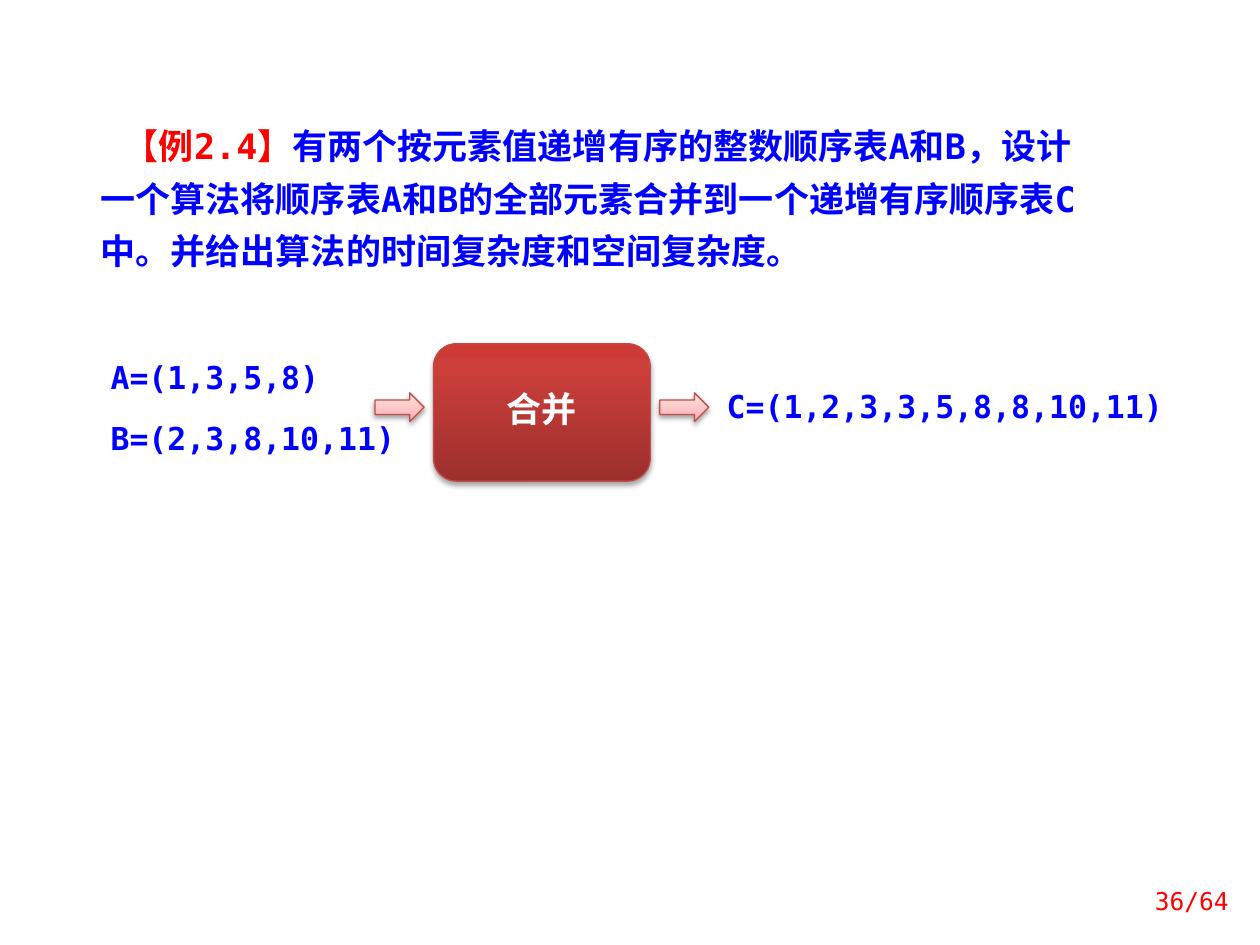
"""Build the slide that shows two ordered lists merging into one."""
from lxml import etree
from pptx import Presentation
from pptx import util as u
from pptx.dml.color import RGBColor
from pptx.enum import shapes, text
from pptx.oxml.ns import qn

THEME = {
    "latin": "DejaVu Sans Mono", "asian": "Noto Sans CJK SC",
    "blue": "0000FF", "red": "FF0000", "white": "FFFFFF", "outline": "BF4C48",
    "question": 20, "list": 18, "page": 14,
    "box": [(0, "9C2F2D"), (80, "CB3E3A"), (100, "CE3B37")],
    "arrow": [(0, "FFA6A5"), (35, "FFC0BF"), (100, "FFE7E7")],
}

QUESTION = [
    ("【例2.4】", "red"),
    ("有两个按元素值递增有序的整数顺序表A和B，设计一个算法将顺序表A和B的全部元素合并到一个"
     "递增有序顺序表C中。并给出算法的时间复杂度和空间复杂度。", "blue"),
]
INPUTS = [[("A=(1,3,5,8)", "blue")], [("B=(2,3,8,10,11)", "blue")]]
RESULT = [[("C=(1,2,3,3,5,8,8,10,11)", "blue")]]
MERGE = [[("合并", "white")]]
PAGE = [[("36/64", "red")]]

MERGE_BOX = (8.74, 6.93, 4.37, 2.77)
ARROW_SIZE = (0.99, 0.58)
ARROW_TOP, ARROW_GAP = 7.92, 0.19

LIST_FORMAT = {"line_spacing": u.Pt(26)}
LIST_GAP = u.Pt(9)


def write(shape, paragraphs, size, bold=True, latin="latin", formats=None, indent=0,
          anchor=text.MSO_ANCHOR.TOP):
    frame = shape.text_frame
    frame.word_wrap = True
    frame.vertical_anchor = anchor
    for index, runs in enumerate(paragraphs):
        paragraph = frame.add_paragraph() if index else frame.paragraphs[0]
        for name, value in (formats or {}).items():
            setattr(paragraph, name, value)
        if index:
            paragraph.space_before = LIST_GAP
        if indent:
            paragraph._p.get_or_add_pPr().set("indent", str(u.Cm(indent)))
        for words, color in runs:
            run = paragraph.add_run()
            run.text = words
            font_format = {"size": u.Pt(THEME[size]), "bold": bold, "name": THEME[latin]}
            for name, value in font_format.items():
                setattr(run.font, name, value)
            run.font.color.rgb = RGBColor.from_string(THEME[color])
            etree.SubElement(run._r.rPr, qn("a:ea"), typeface=THEME["asian"])


def add_text(slide, place, *content, **options):
    write(slide.shapes.add_textbox(*map(u.Cm, place)), *content, **options)


def add_glossy(slide, kind, place, stops, opacity, distance):
    shape = slide.shapes.add_shape(kind, *map(u.Cm, place))
    shape.fill.gradient()
    shape.fill.gradient_angle = 90
    stop_list = shape._element.spPr.find(".//" + qn("a:gsLst"))
    for stop in list(stop_list):
        stop_list.remove(stop)
    for position, color in stops:
        stop = etree.SubElement(stop_list, qn("a:gs"), pos=str(position * 1000))
        etree.SubElement(stop, qn("a:srgbClr"), val=color)
    shape.line.color.rgb = RGBColor.from_string(THEME["outline"])
    shape.line.width = u.Pt(0.75)
    shape.shadow.inherit = False
    effects = shape._element.spPr.find(qn("a:effectLst"))
    shadow = etree.SubElement(effects, qn("a:outerShdw"), blurRad=str(u.Pt(3.1)),
                              dist=str(u.Pt(distance)), dir="5400000", rotWithShape="0")
    shade = etree.SubElement(shadow, qn("a:srgbClr"), val="000000")
    etree.SubElement(shade, qn("a:alpha"), val=str(opacity * 1000))
    return shape


def main():
    presentation = Presentation()
    presentation.slide_width, presentation.slide_height = u.Cm(25.4), u.Cm(19.05)
    slide = presentation.slides.add_slide(presentation.slide_layouts[6])

    add_text(slide, (1.78, 2.18, 20.65, 3.45), [QUESTION], "question",
             formats={"line_spacing": u.Pt(30)}, indent=0.47)
    add_text(slide, (1.98, 6.93, 6.55, 2.44), INPUTS, "list", formats=LIST_FORMAT)

    merge = add_glossy(slide, shapes.MSO_SHAPE.ROUNDED_RECTANGLE, MERGE_BOX,
                       THEME["box"], 35, 1.8)
    write(merge, MERGE, "question", latin="asian", anchor=text.MSO_ANCHOR.MIDDLE,
          formats={"alignment": text.PP_ALIGN.CENTER, "line_spacing": 0.8})

    add_text(slide, (14.4, 7.52, 9.53, 1.12), RESULT, "list", formats=LIST_FORMAT)

    left, _, width, _ = MERGE_BOX
    for arrow_left in (left - ARROW_GAP - ARROW_SIZE[0], left + width + ARROW_GAP):
        add_glossy(slide, shapes.MSO_SHAPE.RIGHT_ARROW,
                   (arrow_left, ARROW_TOP, *ARROW_SIZE), THEME["arrow"], 38, 1.6)

    add_text(slide, (22.63, 17.65, 2.39, 1.02), PAGE, "page", bold=False,
             formats={"alignment": text.PP_ALIGN.RIGHT}, anchor=text.MSO_ANCHOR.MIDDLE)
    presentation.save("out.pptx")


if __name__ == "__main__":
    main()
